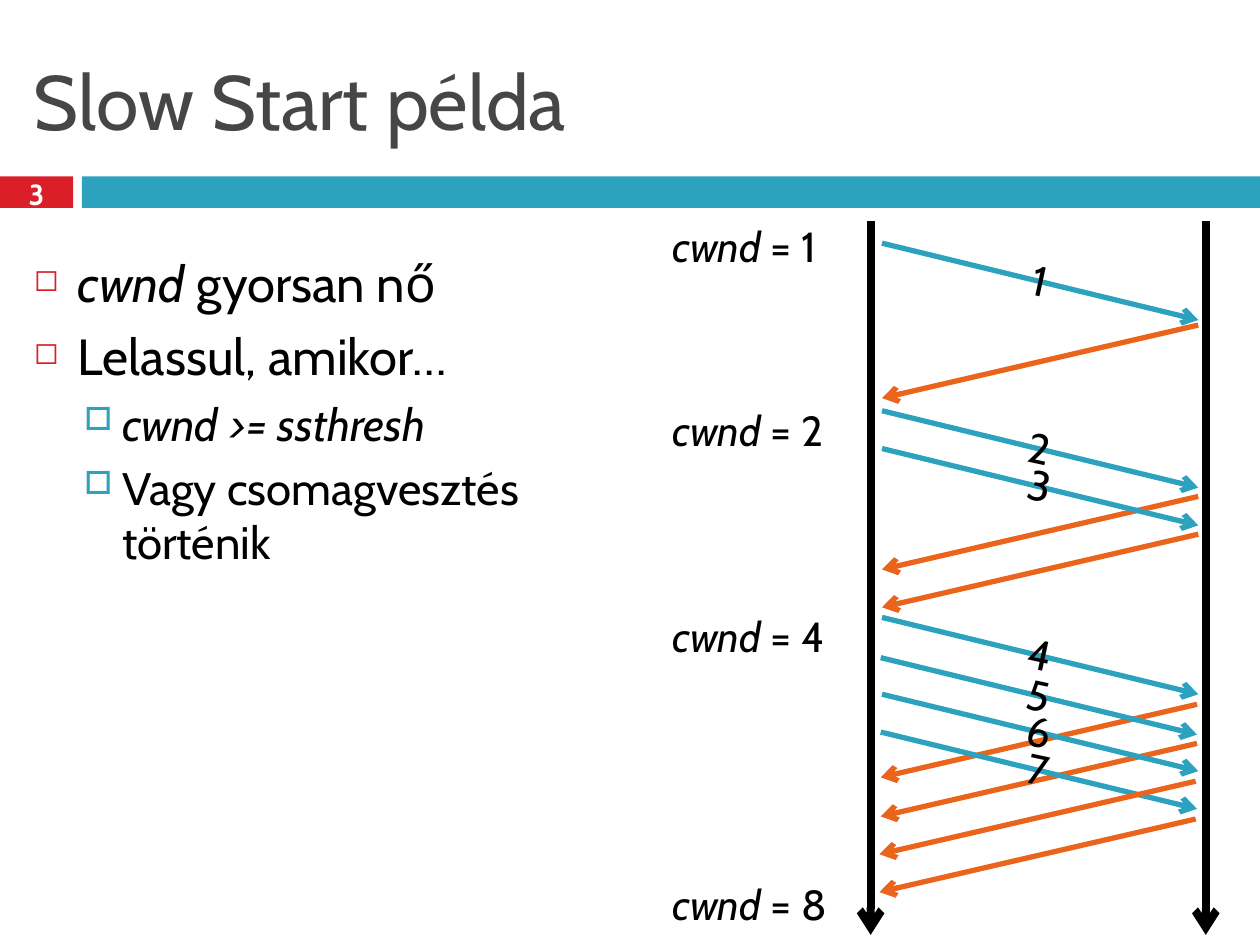
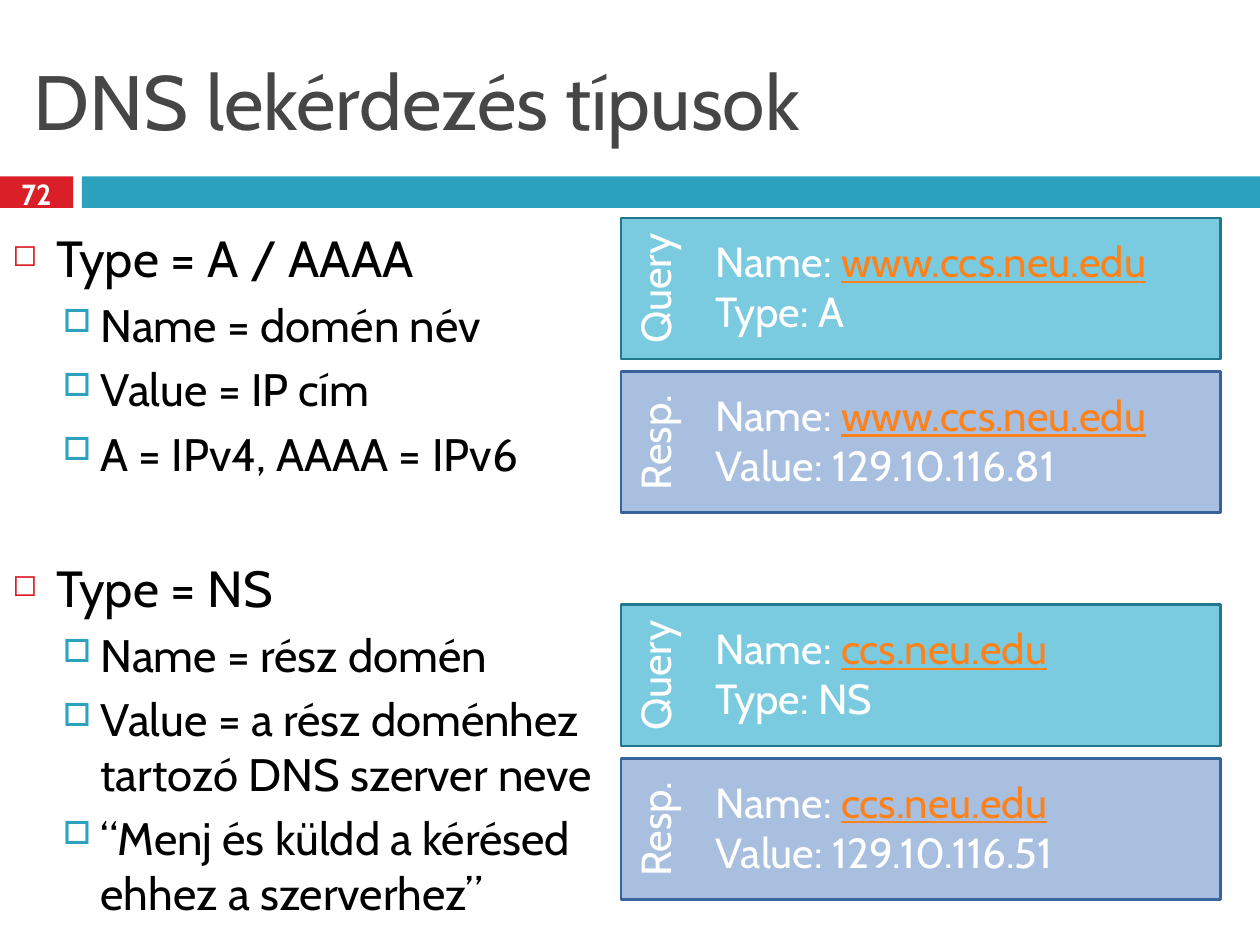
import pptx
import pptx.util
import pptx.dml.color
import pptx.enum.shapes
import pptx.enum.text
import pptx.oxml.ns
from lxml import etree

# ---- Content ----
SLOW_START = {
    "title": "Slow Start példa",
    "number": "3",
    # (level, [(text, style), ...])
    "points": [
        (0, [("cwnd ", "i"), ("gyorsan nő", "")]),
        (0, [("Lelassul, amikor…", "")]),
        (1, [("cwnd >= ssthresh", "i")]),
        (1, [("Vagy csomagvesztés történik", "")]),
    ],
    # (window size, top of its label)
    "windows": [(1, 1.7), (2, 3.16), (4, 4.8), (8, 6.92)],
    # (start height, sideways shift), in sending order
    "segments": [(1.93, 0), (3.26, 0), (3.56, 0), (4.9, 0),
                 (5.22, -0.01), (5.51, 0), (5.81, -0.01)],
    "acks": [(2.58, 0), (3.94, 0), (4.24, 0), (5.59, -0.01),
             (5.9, -0.01), (6.2, -0.02), (6.5, -0.02)],
}

DNS_TYPES = {
    "title": "DNS lekérdezés típusok",
    "number": "72",
    "points": [
        (0, [("Type = A / AAAA", "")]),
        (1, [("Name = domén név", "")]),
        (1, [("Value = IP cím", "")]),
        (1, [("A = IPv4, AAAA = IPv6", "")]),
        (0, [("Type = NS", "")]),
        (1, [("Name = rész domén", "")]),
        (1, [("Value = a rész doménhez tartozó DNS szerver neve", "")]),
        (1, [("“Menj és küldd a kérésed ehhez a szerverhez”", "")]),
    ],
    # (top of the pair, domain name, query line, response line)
    "lookups": [
        (1.73, "www.ccs.neu.edu", "Type: A", "Value: 129.10.116.81"),
        (4.8, "ccs.neu.edu", "Type: NS", "Value: 129.10.116.51"),
    ],
}

# ---- Shared look ----
WIDTH, HEIGHT = 10, 7.5
FONT = "Cabin"
COLORS = {
    "title": "464646", "text": "000000", "white": "FFFFFF",
    "red": "DA1F28", "teal": "2DA2BF", "orange": "EB641B", "link": "FF8119",
    "query": "7ACBE0", "query_edge": "21788D",
    "response": "A8BFDF", "response_edge": "39639D",
}
LEVELS = [
    {"size": 29, "before": 7, "margin": 0.35, "hang": 0.35,
     "bullet": "◻", "color": "red", "scale": 60},
    {"size": 26, "before": 5.5, "margin": 0.7, "hang": 0.3,
     "bullet": "□", "color": "teal", "scale": 70},
]
SECTION_GAP = 43.7  # points above a top-level item that follows sub-items

LEFT = pptx.enum.text.PP_ALIGN.LEFT
CENTER = pptx.enum.text.PP_ALIGN.CENTER
TOP = pptx.enum.text.MSO_ANCHOR.TOP
MIDDLE = pptx.enum.text.MSO_ANCHOR.MIDDLE


def inches(*lengths):
    return [pptx.util.Inches(length) for length in lengths]


def rgb(name):
    return pptx.dml.color.RGBColor.from_string(COLORS[name])


def add_xml(parent, tag, **attributes):
    return etree.SubElement(parent, pptx.oxml.ns.qn(tag), attributes)


def add_run(paragraph, text, size, color="text", style=""):
    run = paragraph.add_run()
    run.text = text
    run.font.name = FONT
    run.font.size = pptx.util.Pt(size)
    run.font.color.rgb = rgb(color)
    run.font.bold = "b" in style
    run.font.italic = "i" in style
    run.font.underline = "u" in style


def add_frame(slide, box, anchor=TOP, wrap=True, rotation=0):
    holder = slide.shapes.add_textbox(*inches(*box))
    holder.rotation = rotation
    holder.text_frame.word_wrap = wrap
    holder.text_frame.vertical_anchor = anchor
    return holder.text_frame


def add_text(slide, box, lines, size, align=LEFT, **frame_options):
    """Each line is a list of (text, colour, style) runs."""
    frame = add_frame(slide, box, **frame_options)
    for index, runs in enumerate(lines):
        paragraph = frame.add_paragraph() if index else frame.paragraphs[0]
        paragraph.alignment = align
        for text, color, style in runs:
            add_run(paragraph, text, size, color, style)


def add_box(slide, box, fill, edge=None):
    panel = slide.shapes.add_shape(
        pptx.enum.shapes.MSO_SHAPE.RECTANGLE, *inches(*box))
    panel.shadow.inherit = False
    panel.fill.solid()
    panel.fill.fore_color.rgb = rgb(fill)
    if edge:
        panel.line.color.rgb = rgb(edge)
        panel.line.width = pptx.util.Pt(1.5)
    else:
        panel.line.fill.background()


def add_arrow(slide, start, end, color, width):
    arrow = slide.shapes.add_connector(
        pptx.enum.shapes.MSO_CONNECTOR.STRAIGHT, *inches(*start, *end))
    arrow.line.color.rgb = rgb(color)
    arrow.line.width = pptx.util.Pt(width)
    add_xml(arrow.line._get_or_add_ln(), "a:tailEnd", type="arrow")
    add_xml(arrow._element.spPr, "a:effectLst")


def add_points(slide, box, points):
    frame = add_frame(slide, box)
    previous = None
    for level, runs in points:
        first = previous is None
        paragraph = frame.paragraphs[0] if first else frame.add_paragraph()
        look = LEVELS[level]
        properties = paragraph._p.get_or_add_pPr()
        margin, indent = inches(look["margin"], -look["hang"])
        properties.set("marL", str(margin))
        properties.set("indent", str(indent))
        bullet_color = add_xml(properties, "a:buClr")
        add_xml(bullet_color, "a:srgbClr", val=COLORS[look["color"]])
        add_xml(properties, "a:buSzPct", val=str(look["scale"] * 1000))
        add_xml(properties, "a:buChar", char=look["bullet"])
        paragraph.level = level
        if not first:
            gap = SECTION_GAP if level < previous else look["before"]
            paragraph.space_before = pptx.util.Pt(gap)
        for text, style in runs:
            add_run(paragraph, text, look["size"], style=style)
        previous = level


def add_base(deck, content):
    """Slide with the band, title and page number."""
    slide = deck.slides.add_slide(deck.slide_layouts[6])
    add_box(slide, (0, 1.4, 0.58, 0.25), "red")
    add_box(slide, (0.65, 1.4, WIDTH - 0.65, 0.25), "teal")
    add_text(slide, (0.17, 0.25, 9.67, 1.08),
             [[(content["title"], "title", "")]], 44, anchor=MIDDLE)
    add_text(slide, (0, 1.37, 0.58, 0.33),
             [[(content["number"], "white", "b")]], 16.6, CENTER, anchor=MIDDLE)
    return slide


# ---- Slow start: message sequence ----
def build_slow_start(deck, content):
    slide = add_base(deck, content)
    sender, receiver = 7, 9.51

    def add_acks(acks):
        for top, shift in acks:
            add_arrow(slide, (receiver + shift, top),
                      (sender + shift, top + 0.58), "orange", 3)

    add_acks(content["acks"][:5])
    for timeline in (6.91, 9.57):
        add_arrow(slide, (timeline, 1.75), (timeline, 7.42), "text", 4.5)
    for number, (top, shift) in enumerate(content["segments"], 1):
        start = sender + shift
        add_arrow(slide, (start, top), (receiver + shift, top + 0.61), "teal", 3)
        add_text(slide, (start + 0.7, top + 0.04, 1.11, 0.5),
                 [[(str(number), "text", "")]], 24, CENTER, rotation=12.3)
    add_acks(content["acks"][5:])

    for size, top in content["windows"]:
        add_text(slide, (5.24, top, 1.56, 0.5),
                 [[("cwnd", "text", "i"), (f" = {size}", "text", "")]],
                 24, wrap=False)
    add_points(slide, (0.17, 1.95, 4.62, 5.38), content["points"])


# ---- DNS types: query and response cards ----
def add_card(slide, top, kind, label, domain, detail):
    add_box(slide, (4.93, top, 4.76, 1.12), kind, kind + "_edge")
    add_text(slide, (4.64, top + 0.31, 1.12, 0.5),
             [[(label, "white", "")]], 24, CENTER, wrap=False, rotation=270)
    add_text(slide, (5.58, top + 0.09, 3.92, 0.91),
             [[("Name: ", "white", ""), (domain, "link", "u")],
              [(detail, "white", "")]], 24)


def build_dns_types(deck, content):
    slide = add_base(deck, content)
    add_points(slide, (0, 1.75, 5.07, 5.75), content["points"])
    for top, domain, query, response in content["lookups"]:
        add_card(slide, top, "query", "Query", domain, query)
        add_card(slide, top + 1.22, "response", "Resp.", domain, response)


def main():
    deck = pptx.Presentation()
    deck.slide_width, deck.slide_height = inches(WIDTH, HEIGHT)
    build_slow_start(deck, SLOW_START)
    build_dns_types(deck, DNS_TYPES)
    deck.save("out.pptx")


if __name__ == "__main__":
    main()
